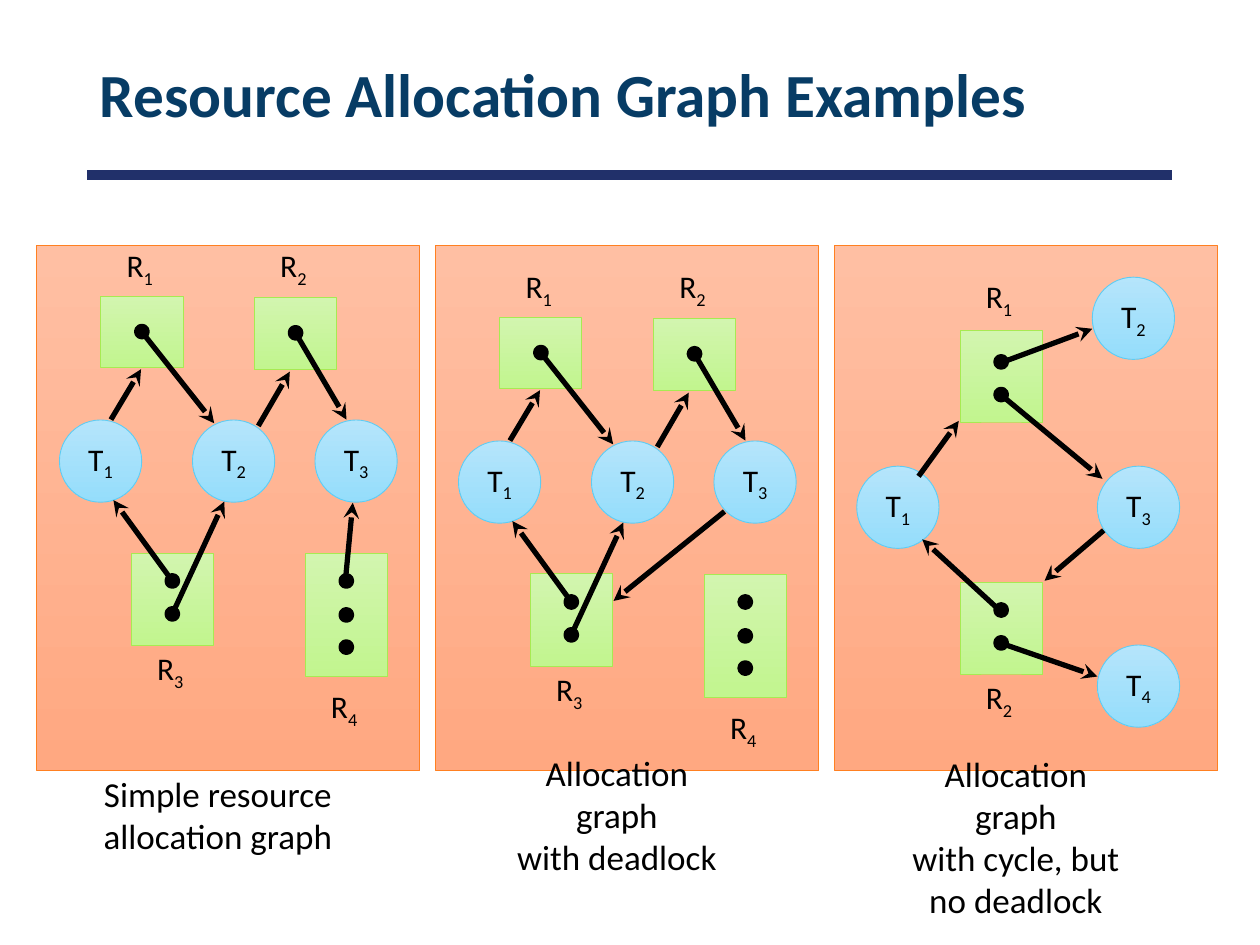
from lxml.etree import SubElement
from pptx import Presentation
from pptx.dml.color import RGBColor
from pptx.enum.shapes import MSO_CONNECTOR, MSO_SHAPE
from pptx.enum.text import MSO_ANCHOR, PP_ALIGN
from pptx.oxml.ns import qn
from pptx.util import Pt

FONT = "Calibri"
COLORS = {
    "title": "073C65", "rule": "21306A", "ink": "000000",
    "panel": ("FFBFA3", "FFA881", "FF8021"),
    "thread": ("B5E5FB", "95DDFB", "5ECCF3"),
    "pool": ("D2F5AF", "C2F58F", "A7EA52"),
}
SIDE = 47
DOT = 6
STEP = 228

THREADS = [(34, 240), (110, 240), (180, 240)]
POOLS = [
    (57.6, 169.2, 41, [17.3], 138.2),
    (145.4, 169.9, 41, [17.3], 138.2),
    (75, 316, 52.6, [13, 31.8], 368.6),
    (174.4, 316, 70.6, [13, 32.4, 50.8], 390.2),
]
EDGES = [
    (63.4, 239.8, 80.6, 211), (82, 190.8, 122.4, 241.9),
    (147.6, 243.4, 165.6, 212.4), (169.2, 190.8, 198, 239.8),
    (97.9, 331.2, 64.8, 285.8), (98.6, 350.6, 128.2, 286.6),
]
GRANT = (197.3, 332.6, 201.6, 287.3)
REQUEST = (186, 280.3, 122.6, 331.4)

LOOP_THREADS = [(33.6, 266.4), (168.2, 158.4), (171.1, 266.4), (171.1, 368.6)]
LOOP_POOLS = [
    (92.6, 188.6, 52.6, [15.2, 33.9], 156.2),
    (92.6, 332.6, 52.6, [13, 31.8], 385.2),
]
LOOP_EDGES = [
    (68.9, 272.2, 91.9, 240.5), (115.7, 349.2, 71, 308.2),
    (115, 367.2, 171.1, 386.6), (174.7, 303.1, 140.9, 331.9),
    (115.7, 225.4, 174, 273.6), (115.7, 207.4, 168.2, 187.9),
]


def color(code):
    return RGBColor.from_string(code)


def style(para, size, code, bold=False):
    para.font.name = FONT
    para.font.size = Pt(size)
    para.font.bold = bold
    para.font.color.rgb = color(code)


def add_shape(group, kind, box, look):
    first, last, edge = COLORS[look]
    shape = group.shapes.add_shape(kind, *map(Pt, box))
    shape.shadow.inherit = False
    shape.fill.gradient()
    shape.fill.gradient_angle = 270
    for stop, code in zip(shape.fill.gradient_stops, (first, last)):
        stop.color.rgb = color(code)
    shape.line.color.rgb = color(edge)
    shape.line.width = Pt(0.5)
    return shape


def add_name(shape, letter, num):
    frame = shape.text_frame
    frame.word_wrap = False
    frame.vertical_anchor = MSO_ANCHOR.MIDDLE
    para = frame.paragraphs[0]
    para.alignment = PP_ALIGN.CENTER
    para.add_run().text = letter
    sub = para.add_run()
    sub.text = str(num)
    sub._r.get_or_add_rPr().set("baseline", "-25000")
    style(para, 18, COLORS["ink"])


def add_dot(group, x, y):
    dot = group.shapes.add_shape(MSO_SHAPE.OVAL, Pt(x), Pt(y), Pt(DOT), Pt(DOT))
    dot.shadow.inherit = False
    dot.fill.solid()
    dot.fill.fore_color.rgb = color(COLORS["ink"])
    dot.line.color.rgb = color(COLORS["ink"])
    dot.line.width = Pt(3)


def add_pool(group, x, y, high, dots, top, num):
    add_shape(group, MSO_SHAPE.RECTANGLE, (x, y, SIDE, high), "pool")
    for drop in dots:
        add_dot(group, x + (SIDE - DOT) / 2, y + drop)
    label = group.shapes.add_textbox(Pt(x + 6.8), Pt(top), Pt(31), Pt(29))
    add_name(label, "R", num)


def add_line(parent, ends, code, width):
    line = parent.shapes.add_connector(MSO_CONNECTOR.STRAIGHT, *map(Pt, ends))
    line.line.color.rgb = color(code)
    line.line.width = Pt(width)
    SubElement(line._element.spPr, qn("a:effectLst"))
    return line


def add_arrow(group, ends):
    line = add_line(group, ends, COLORS["ink"], 3)
    SubElement(line.line._get_or_add_ln(), qn("a:tailEnd"), type="stealth")


def add_note(group, x, high, lines, wrap):
    frame = group.shapes.add_textbox(Pt(x), Pt(438), Pt(145), Pt(high)).text_frame
    frame.word_wrap = wrap
    frame.vertical_anchor = MSO_ANCHOR.MIDDLE
    frame.text = "\n".join(lines)
    for para in frame.paragraphs:
        para.alignment = PP_ALIGN.CENTER
        style(para, 20, COLORS["ink"])


def add_graph(slide, index, drop, threads, pools, edges, note):
    group = slide.shapes.add_group_shape()
    left = index * STEP
    add_shape(group, MSO_SHAPE.RECTANGLE, (left + 21, 140.4, 219, 300), "panel")
    for num, (x, y) in enumerate(threads, 1):
        box = (left + x, y + drop, SIDE, SIDE)
        add_name(add_shape(group, MSO_SHAPE.OVAL, box, "thread"), "T", num)
    for num, (x, y, high, dots, top) in enumerate(pools, 1):
        add_pool(group, left + x, y + drop, high, dots, top + drop, num)
    for x1, y1, x2, y2 in edges:
        add_arrow(group, (left + x1, y1 + drop, left + x2, y2 + drop))
    add_note(group, left + 52, *note)


def add_title(slide, text):
    frame = slide.shapes.add_textbox(Pt(50), Pt(16.6), Pt(620), Pt(78)).text_frame
    frame.word_wrap = True
    frame.vertical_anchor = MSO_ANCHOR.MIDDLE
    frame.text = text
    para = frame.paragraphs[0]
    para.line_spacing = 0.9
    style(para, 35, COLORS["title"], True)


def main():
    deck = Presentation()
    deck.slide_width, deck.slide_height = Pt(720), Pt(540)
    slide = deck.slides.add_slide(deck.slide_layouts[6])
    add_line(slide, (50, 100, 670, 100), COLORS["rule"], 6)
    add_title(slide, "Resource Allocation Graph Examples")
    add_graph(slide, 0, 0, THREADS, POOLS, EDGES + [GRANT],
              (55, ["Simple resource", "allocation graph"], False))
    add_graph(slide, 1, 12, THREADS, POOLS, EDGES + [REQUEST],
              (55, ["Allocation graph\vwith deadlock"], True))
    add_graph(slide, 2, 0, LOOP_THREADS, LOOP_POOLS, LOOP_EDGES,
              (80, ["Allocation graph\vwith cycle, but", "no deadlock"], True))
    deck.save("out.pptx")


if __name__ == "__main__":
    main()
